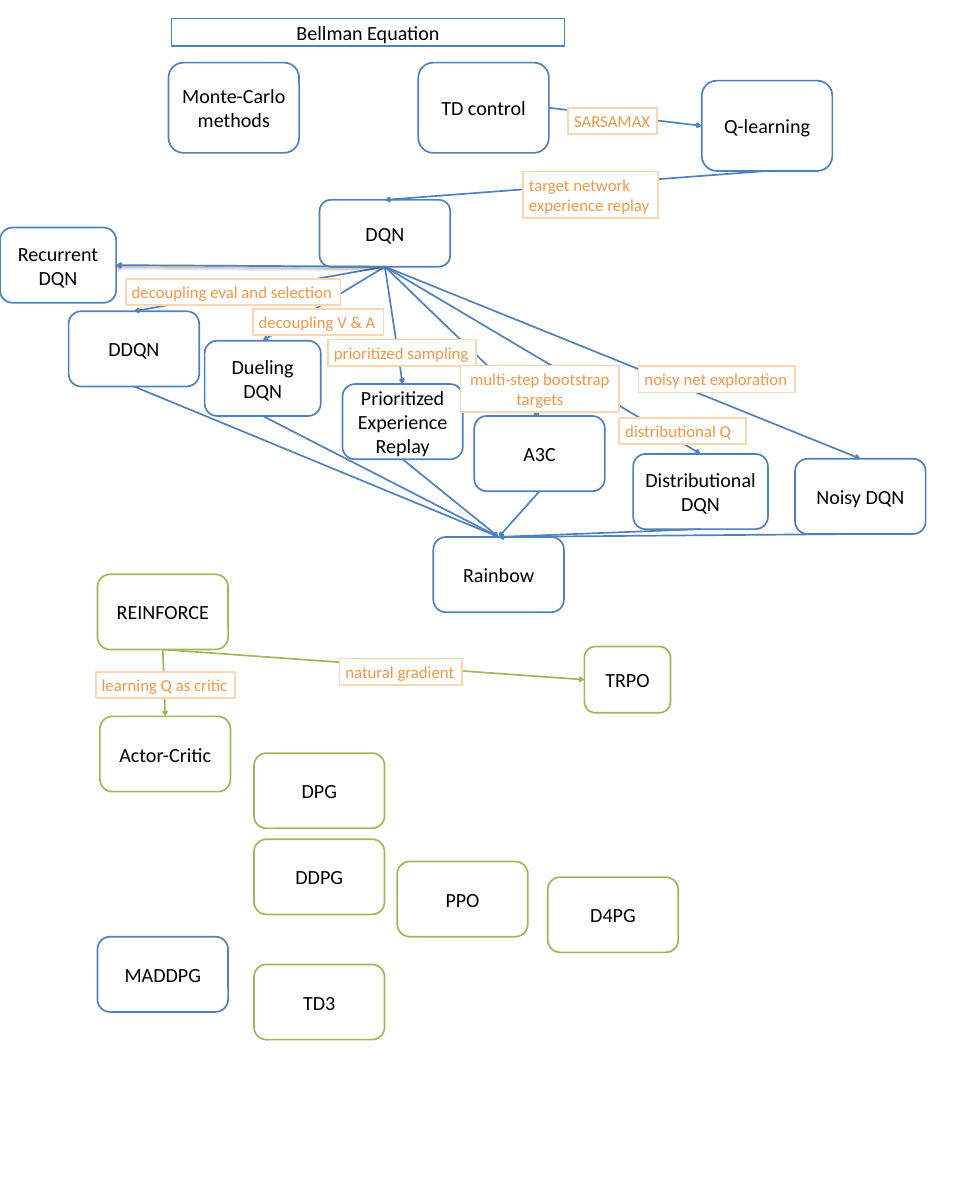
"""Map of reinforcement learning algorithms and the ideas that connect them."""
from dataclasses import dataclass

from lxml import etree
from pptx import Presentation
from pptx.dml.color import RGBColor
from pptx.enum.shapes import MSO_CONNECTOR, MSO_SHAPE
from pptx.enum.text import MSO_ANCHOR, MSO_AUTO_SIZE, PP_ALIGN
from pptx.oxml.ns import qn
from pptx.util import Inches, Pt


@dataclass(frozen=True)
class Theme:
    font: str = "Calibri"
    node_size: int = 24
    label_size: int = 20
    line_width: int = 2
    white: str = "FFFFFF"
    black: str = "000000"
    blue: str = "4F81BD"
    green: str = "9BBB59"
    orange: str = "F79646"
    peach: str = "FCD5B5"


theme = Theme()
TOP, LEFT, BOTTOM, RIGHT = range(4)


def paint(shape, line_color):
    shape.fill.solid()
    shape.fill.fore_color.rgb = RGBColor.from_string(theme.white)
    shape.line.color.rgb = RGBColor.from_string(line_color)
    shape.line.width = Pt(theme.line_width)
    shape.shadow.inherit = False


def write(shape, lines, size, color, alignment):
    frame = shape.text_frame
    for index, line in enumerate(lines):
        paragraph = frame.add_paragraph() if index else frame.paragraphs[0]
        paragraph.alignment = alignment
        run = paragraph.add_run()
        run.text = line
        run.font.name = theme.font
        run.font.size = Pt(size)
        run.font.color.rgb = RGBColor.from_string(color)


presentation = Presentation()
presentation.slide_width = Inches(16)
presentation.slide_height = Inches(20)
slide = presentation.slides.add_slide(presentation.slide_layouts[6])

title = slide.shapes.add_shape(
    MSO_SHAPE.RECTANGLE, Inches(2.85), Inches(0.31), Inches(6.53), Inches(0.46))
paint(title, theme.blue)
title.text_frame.vertical_anchor = MSO_ANCHOR.MIDDLE
write(title, ["Bellman Equation"], theme.node_size, theme.black, PP_ALIGN.CENTER)

node_groups = {
    theme.blue: [
        ("Monte-Carlo methods", 2.8, 1.04, 2.17, 1.5),
        ("TD control", 6.95, 1.04, 2.17, 1.5),
        ("Q-learning", 11.66, 1.34, 2.17, 1.5),
        ("DQN", 5.31, 3.32, 2.17, 1.11),
        ("Recurrent\nDQN", 0, 3.78, 1.93, 1.25),
        ("DDQN", 1.14, 5.17, 2.17, 1.25),
        ("Dueling DQN", 3.4, 5.66, 1.93, 1.25),
        ("Prioritized Experience Replay", 5.69, 6.38, 2, 1.25),
        ("A3C", 7.88, 6.91, 2.17, 1.25),
        ("Distributional DQN", 10.52, 7.54, 2.24, 1.25),
        ("Noisy DQN", 13.21, 7.62, 2.17, 1.25),
        ("Rainbow", 7.2, 8.92, 2.17, 1.25),
        ("MADDPG", 1.62, 15.56, 2.17, 1.25),
    ],
    theme.green: [
        ("REINFORCE", 1.62, 9.54, 2.17, 1.25),
        ("TRPO", 9.71, 10.74, 1.43, 1.1),
        ("Actor-Critic", 1.66, 11.9, 2.17, 1.25),
        ("DPG", 4.22, 12.51, 2.17, 1.25),
        ("DDPG", 4.22, 13.94, 2.17, 1.25),
        ("PPO", 6.6, 14.31, 2.17, 1.25),
        ("D4PG", 9.1, 14.57, 2.17, 1.25),
        ("TD3", 4.22, 16.02, 2.17, 1.25),
    ],
}
nodes = {}
for color, group in node_groups.items():
    for name, left, top, width, height in group:
        node = slide.shapes.add_shape(
            MSO_SHAPE.ROUNDED_RECTANGLE,
            Inches(left), Inches(top), Inches(width), Inches(height))
        paint(node, color)
        node.text_frame.word_wrap = True
        node.text_frame.vertical_anchor = MSO_ANCHOR.MIDDLE
        write(node, name.split("\n"), theme.node_size, theme.black, PP_ALIGN.CENTER)
        nodes[name] = node

variants = ["DDQN", "Dueling DQN", "Prioritized Experience Replay", "A3C",
            "Distributional DQN", "Noisy DQN"]
edges = [
    ("TD control", RIGHT, "Q-learning", LEFT, theme.blue),
    ("Q-learning", BOTTOM, "DQN", TOP, theme.blue),
    *[("DQN", BOTTOM, variant, TOP, theme.blue) for variant in variants],
    *[(variant, BOTTOM, "Rainbow", TOP, theme.blue) for variant in variants],
    ("REINFORCE", BOTTOM, "Actor-Critic", TOP, theme.green),
    ("REINFORCE", BOTTOM, "TRPO", LEFT, theme.green),
    ("DQN", BOTTOM, "Recurrent\nDQN", RIGHT, theme.blue),
]
for source, source_side, target, target_side, color in edges:
    arrow = slide.shapes.add_connector(MSO_CONNECTOR.STRAIGHT, 0, 0, 0, 0)
    arrow.begin_connect(nodes[source], source_side)
    arrow.end_connect(nodes[target], target_side)
    arrow.line.color.rgb = RGBColor.from_string(color)
    arrow.line.width = Pt(theme.line_width)
    etree.SubElement(arrow.line._get_or_add_ln(), qn("a:tailEnd"), type="arrow")
    effects = etree.SubElement(arrow._element.spPr, qn("a:effectLst"))
    if target == "Recurrent\nDQN":
        shadow = etree.SubElement(
            effects, qn("a:outerShdw"), blurRad=str(Pt(3.1)), dist=str(Pt(1.6)),
            dir="5400000", rotWithShape="0")
        shadow_color = etree.SubElement(shadow, qn("a:srgbClr"), val=theme.black)
        etree.SubElement(shadow_color, qn("a:alpha"), val="38000")

labels = [
    ("SARSAMAX", 9.44, 1.79, 1.48, 0.44, False, PP_ALIGN.LEFT),
    ("target network\nexperience replay", 8.69, 2.85, 2.24, 0.77, False, PP_ALIGN.LEFT),
    ("decoupling eval and selection", 2.09, 4.63, 3.57, 0.44, False, PP_ALIGN.LEFT),
    ("decoupling V & A", 4.2, 5.13, 2.17, 0.44, False, PP_ALIGN.LEFT),
    ("prioritized sampling", 5.45, 5.64, 2.46, 0.44, False, PP_ALIGN.LEFT),
    ("multi-step bootstrap targets", 7.65, 6.07, 2.64, 0.77, True, PP_ALIGN.CENTER),
    ("noisy net exploration", 10.61, 6.08, 2.6, 0.44, True, PP_ALIGN.LEFT),
    ("distributional Q", 10.29, 6.94, 2.1, 0.44, True, PP_ALIGN.LEFT),
    ("natural gradient", 5.64, 10.94, 2.04, 0.44, False, PP_ALIGN.LEFT),
    ("learning Q as critic", 1.59, 11.16, 2.31, 0.44, False, PP_ALIGN.LEFT),
]
for text, left, top, width, height, wraps, alignment in labels:
    label = slide.shapes.add_textbox(
        Inches(left), Inches(top), Inches(width), Inches(height))
    paint(label, theme.peach)
    label.text_frame.word_wrap = wraps
    label.text_frame.auto_size = MSO_AUTO_SIZE.SHAPE_TO_FIT_TEXT
    write(label, text.split("\n"), theme.label_size, theme.orange, alignment)

presentation.save("out.pptx")
